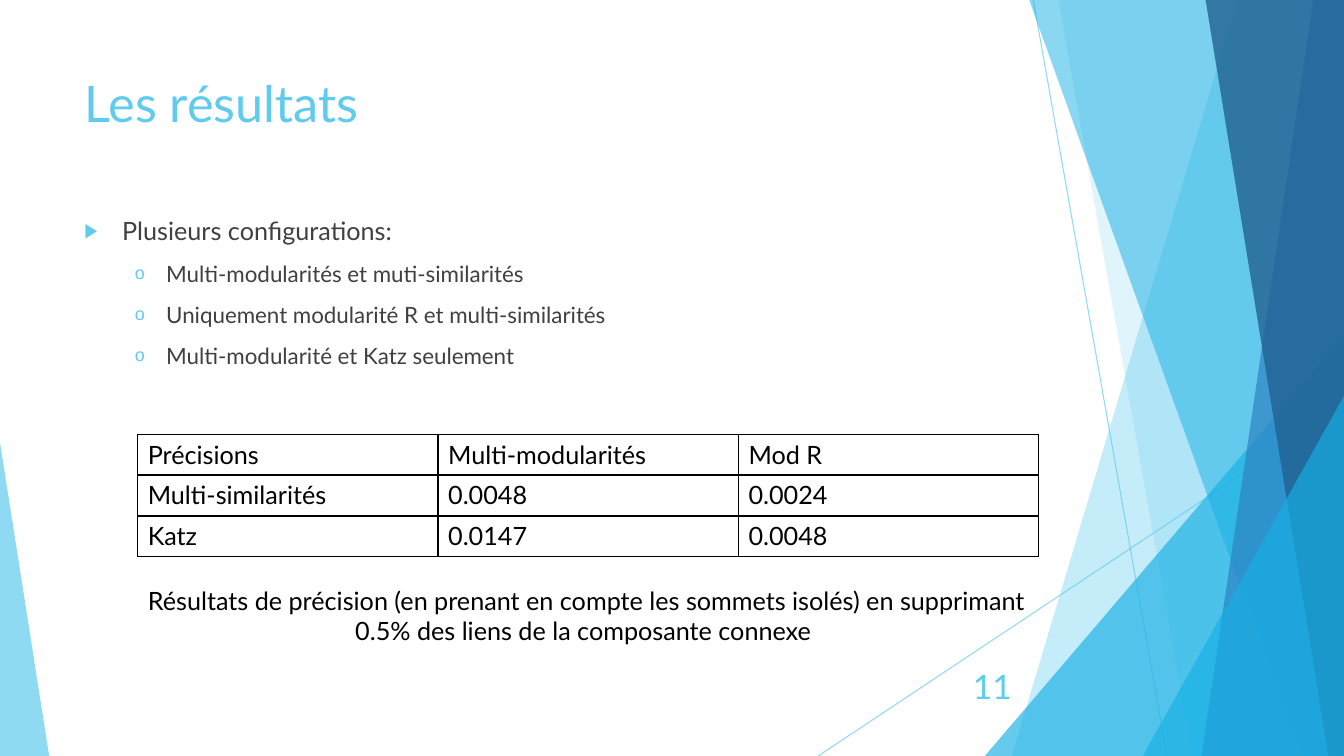
from lxml import etree
from pptx import Presentation
from pptx.dml.color import RGBColor
from pptx.enum.shapes import MSO_CONNECTOR, MSO_SHAPE
from pptx.enum.text import MSO_ANCHOR, PP_ALIGN
from pptx.oxml.ns import qn
from pptx.util import Cm, Pt

STRAIGHT = MSO_CONNECTOR.STRAIGHT
TRIANGLE = MSO_SHAPE.ISOSCELES_TRIANGLE
TOP, MIDDLE = MSO_ANCHOR.TOP, MSO_ANCHOR.MIDDLE
LEFT, CENTER, RIGHT = PP_ALIGN.LEFT, PP_ALIGN.CENTER, PP_ALIGN.RIGHT

SKY = RGBColor(0x5F, 0xCB, 0xEF)
CYAN = RGBColor(0x17, 0xB0, 0xE4)
BLUE = RGBColor(0x2E, 0x83, 0xC3)
NAVY = RGBColor(0x22, 0x62, 0x92)
GREY = RGBColor(0x40, 0x40, 0x40)
BLACK = RGBColor(0, 0, 0)

WIDTH, HEIGHT = 33.87, 19.05
FONT = "Lato"


def add_text(para, text, size=18, color=BLACK, align=LEFT):
    para.alignment = align
    span = para.add_run()
    span.text = text
    span.font.name = FONT
    span.font.size = Pt(size)
    span.font.color.rgb = color


def set_opacity(shape, percent):
    for color in shape._element.spPr.iter(qn("a:srgbClr")):
        etree.SubElement(color, qn("a:alpha"), val=str(percent * 1000))


class SlideBuilder:
    def __init__(self, page):
        self.page = page
        self.shapes = page.shapes

    def line(self, x1, y1, x2, y2):
        line = self.shapes.add_connector(STRAIGHT, Cm(x1), Cm(y1), Cm(x2), Cm(y2))
        line.line.color.rgb = SKY
        line.line.width = Pt(0.75)
        set_opacity(line, 70)
        etree.SubElement(line._element.spPr, qn("a:effectLst"))

    def paint(self, shape, color, opacity):
        shape.shadow.inherit = False
        shape.fill.solid()
        shape.fill.fore_color.rgb = color
        shape.line.fill.background()
        set_opacity(shape, opacity)

    def facet(self, top_x, bottom_x, color, opacity):
        """Band from a slanted left edge to the right side of the slide."""
        outline = self.shapes.build_freeform(Cm(top_x), Cm(-0.02))
        corners = [(WIDTH, -0.02), (WIDTH, HEIGHT), (bottom_x, HEIGHT)]
        outline.add_line_segments([(Cm(x), Cm(y)) for x, y in corners], close=True)
        self.paint(outline.convert_to_shape(), color, opacity)

    def corner(self, left, right, top, apex, color, opacity):
        """Triangle standing on the bottom edge of the slide."""
        shape = self.shapes.add_shape(
            TRIANGLE, Cm(left), Cm(top), Cm(right - left), Cm(HEIGHT - top))
        shape.adjustments[0] = apex
        self.paint(shape, color, opacity)

    def box(self, left, top, width, height, anchor=TOP):
        frame = self.shapes.add_textbox(
            Cm(left), Cm(top), Cm(width), Cm(height)).text_frame
        frame.word_wrap = True
        frame.vertical_anchor = anchor
        return frame

    def label(self, text, place, anchor=TOP, **style):
        add_text(self.box(*place, anchor).paragraphs[0], text, **style)

    def bullets(self, items, place):
        frame = self.box(*place)
        for index, (level, text) in enumerate(items):
            para = frame.add_paragraph() if index else frame.paragraphs[0]
            para.level = level
            para.space_before = Pt(10)
            add_text(para, text, size=18 - 2 * level, color=GREY)
            margin, hanging, mark = [(0.95, 0.95, "▶"), (2.06, 0.79, "o")][level]
            props = para._p.get_or_add_pPr()
            props.set("marL", str(Cm(margin)))
            props.set("indent", str(-Cm(hanging)))
            tint = etree.SubElement(props, qn("a:buClr"))
            etree.SubElement(tint, qn("a:srgbClr"), val=str(SKY))
            etree.SubElement(props, qn("a:buSzPct"), val="80000")
            etree.SubElement(props, qn("a:buFont"), typeface="Arial")
            etree.SubElement(props, qn("a:buChar"), char=mark)

    def table(self, rows, left, top, column_width, row_height):
        table = self.shapes.add_table(
            len(rows), len(rows[0]), Cm(left), Cm(top),
            Cm(column_width * len(rows[0])), Cm(row_height * len(rows))).table
        table.first_row = table.horz_banding = False
        for row, values in zip(table.rows, rows):
            for cell, value in zip(row.cells, values):
                add_text(cell.text_frame.paragraphs[0], value)
                self.borders(cell)
                cell.fill.background()

    def borders(self, cell):
        props = cell._tc.get_or_add_tcPr()
        for side in ("lnL", "lnR", "lnT", "lnB"):
            edge = etree.SubElement(props, qn("a:" + side), w=str(Pt(1)))
            fill = etree.SubElement(edge, qn("a:solidFill"))
            etree.SubElement(fill, qn("a:srgbClr"), val=str(BLACK))


def main():
    deck = Presentation()
    deck.slide_width, deck.slide_height = Cm(WIDTH), Cm(HEIGHT)
    slide = SlideBuilder(deck.slides.add_slide(deck.slide_layouts[6]))

    # Faceted background
    slide.line(26.04, 0, 29.41, HEIGHT)
    slide.line(WIDTH, 10.24, 20.62, HEIGHT)
    slide.facet(31.19, 25.5, SKY, 36)
    slide.facet(26.67, 30.05, SKY, 20)
    slide.corner(24.82, WIDTH, 8.46, 1, CYAN, 66)
    slide.facet(25.93, 32.79, CYAN, 50)
    slide.facet(33.1, 30.28, BLUE, 70)
    slide.facet(30.38, 33.48, NAVY, 80)
    slide.corner(28.8, WIDTH, 9.98, 1, CYAN, 66)
    slide.corner(0, 1.24, 11.15, 0, SKY, 70)

    # Title and page number
    slide.label("Les résultats", (1.88, 1.7, 23.88, 3.66), size=36, color=SKY)
    slide.label("11", (23.85, 16.79, 1.9, 1.02), MIDDLE,
                size=24, color=SKY, align=RIGHT)

    # Configurations
    slide.bullets([
        (0, "Plusieurs configurations:"),
        (1, "Multi-modularités et muti-similarités"),
        (1, "Uniquement modularité R et multi-similarités"),
        (1, "Multi-modularité et Katz seulement"),
    ], (1.88, 5.31, 24.05, 11.46))

    # Precision table and its caption
    slide.table([
        ("Précisions", "Multi-modularités", "Mod R"),
        ("Multi-similarités", "0.0048", "0.0024"),
        ("Katz", "0.0147", "0.0048"),
    ], 3.47, 10.94, 7.57, 1.03)
    slide.label("Résultats de précision (en prenant en compte les sommets isolés) "
                "en supprimant 0.5% des liens de la composante connexe ",
                (3.45, 14.63, 22.66, 1.8), align=CENTER)

    deck.save("out.pptx")


if __name__ == "__main__":
    main()
